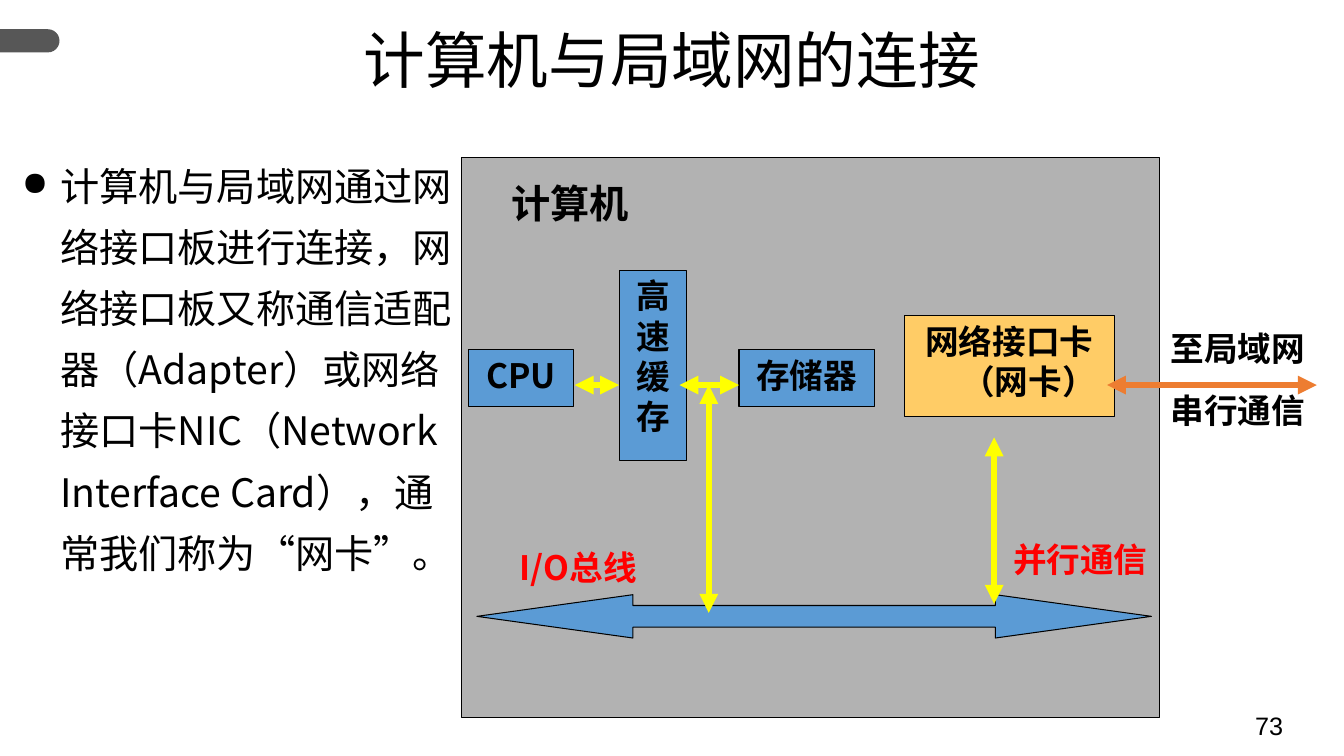
from lxml import etree
from pptx import Presentation
from pptx.dml.color import RGBColor
from pptx.enum.shapes import MSO_CONNECTOR, MSO_SHAPE
from pptx.enum.text import MSO_ANCHOR, PP_ALIGN
from pptx.oxml.ns import qn
from pptx.util import Inches, Pt

RECT = MSO_SHAPE.RECTANGLE
ARROW = MSO_SHAPE.LEFT_RIGHT_ARROW
ROUND = MSO_SHAPE.ROUND_2_SAME_RECTANGLE
LINE = MSO_CONNECTOR.STRAIGHT
TOP = MSO_ANCHOR.TOP
LEFT, CENTER = PP_ALIGN.LEFT, PP_ALIGN.CENTER
CJK = "Noto Sans CJK SC"
BLACK, BLUE, YELLOW, RED = "000000", "5B9BD5", "FFFF00", "FF0000"
HANG = 0.38


def color(code):
    """Turn a hex string into a colour."""
    return RGBColor.from_string(code)


def write(shape, text, size=24, font=CJK, ink=BLACK, bold=False,
          align=CENTER, hang=HANG, space=1.0, bullet=None):
    """Fill a shape with formatted paragraphs, one for each line."""
    frame = shape.text_frame
    frame.word_wrap = True
    frame.vertical_anchor = TOP
    for i, line in enumerate(text.split("\n")):
        para = frame.paragraphs[0] if i == 0 else frame.add_paragraph()
        props = para._p.get_or_add_pPr()
        props.set("marL", str(Inches(hang)))
        props.set("indent", str(-Inches(hang)))
        if bullet:
            etree.SubElement(props, qn("a:buSzPct")).set("val", "85000")
            etree.SubElement(props, qn("a:buChar")).set("char", bullet)
        para.alignment = align
        para.line_spacing = space
        para.space_before = Pt(0)
        run = para.add_run()
        run.text = line
        run.font.size = Pt(size)
        run.font.bold = bold
        run.font.color.rgb = color(ink)
        run.font.name = font
        east = etree.SubElement(run._r.get_or_add_rPr(), qn("a:ea"))
        east.set("typeface", CJK)


def label(slide, box, text, **style):
    """Add a text box."""
    write(slide.shapes.add_textbox(*map(Inches, box)), text, **style)


def block(slide, box, fill, kind=RECT, edge=BLACK):
    """Add a filled shape with a thin outline."""
    shape = slide.shapes.add_shape(kind, *map(Inches, box))
    shape.shadow.inherit = False
    shape.fill.solid()
    shape.fill.fore_color.rgb = color(fill)
    if edge:
        shape.line.color.rgb = color(edge)
        shape.line.width = Pt(0.75)
    else:
        shape.line.fill.background()
    return shape


def arrow(slide, start, end, ink=YELLOW):
    """Add a thick line with a head at both ends."""
    link = slide.shapes.add_connector(LINE, *map(Inches, start + end))
    link.line.color.rgb = color(ink)
    link.line.width = Pt(4.5)
    pen = link.line._get_or_add_ln()
    for tag in ("a:headEnd", "a:tailEnd"):
        etree.SubElement(pen, qn(tag)).set("type", "triangle")
    etree.SubElement(link._element.spPr, qn("a:effectLst"))


def header(slide, x, y, w, h):
    """Place the title and the tab at the left edge."""
    long, thick = 0.59, 0.23
    mid = y + 0.155
    tab = block(slide, (x + (long - thick) / 2, mid - long / 2, thick, long),
                "575757", ROUND, None)
    tab.adjustments[0] = 0.5
    tab.rotation = 90
    title = slide.shapes.title
    title.left, title.top, title.width, title.height = map(
        Inches, (x, y, w, h))
    write(title, "计算机与局域网的连接", size=44, font="Arial", hang=0, space=0.9)


def computer(slide, x, y, w, h):
    """Draw the computer with its parts, its bus and their links."""
    block(slide, (x, y, w, h), "B2B2B2")
    label(slide, (x + 0.22, y + 0.17, 1.71, 0.63), "计算机", size=28, bold=True)
    parts = [
        (0.07, 1.91, 1.04, 0.56, BLUE, "CPU"),
        (1.56, 1.12, 0.67, 1.89, BLUE, "高\n速\n缓\n存"),
        (2.75, 1.91, 1.34, 0.56, BLUE, "存储器"),
        (4.39, 1.57, 2.08, 1, "FFCC66", "网络接口卡（网卡）"),
    ]
    for dx, dy, pw, ph, fill, text in parts:
        part = block(slide, (x + dx, y + dy, pw, ph), fill)
        write(part, text, bold=True)
    bus = block(slide, (x + 0.15, y + 4.34, 6.69, 0.43), BLUE, ARROW)
    bus.adjustments[0] = 0.5
    bus.adjustments[1] = 3.6
    links = [
        (1.12, 2.26, 1.56, 2.26),
        (2.16, 2.26, 2.75, 2.26),
        (2.45, 2.26, 2.45, 4.52),
        (5.28, 2.78, 5.28, 4.43),
    ]
    for ax, ay, bx, by in links:
        arrow(slide, (x + ax, y + ay), (x + bx, y + by))
    for dx, dy, text in [(0.3, 3.82, "I/O总线"), (5.28, 3.74, "并行通信")]:
        label(slide, (x + dx, y + dy, 1.71, 0.56), text, ink=RED, bold=True)


def network(slide, x, y, w, h):
    """Draw the link to the network with a label above and below."""
    mid = y + h / 2
    arrow(slide, (x, mid), (x + w, mid), "ED7D31")
    for top, text in [(y, "至局域网"), (mid, "串行通信")]:
        label(slide, (x + 0.29, top, 2.01, 0.56), text, bold=True)


def main():
    """Build and save the slide."""
    deck = Presentation()
    deck.slide_width, deck.slide_height = Inches(13.33), Inches(7.5)
    slide = deck.slides.add_slide(deck.slide_layouts[5])
    header(slide, 0, 0.25, 13.33, 1.25)
    label(slide, (12.35, 7, 0.98, 0.5), "73", size=18, font="Arial",
          align=LEFT, hang=0)
    label(slide, (0.12, 1.42, 4.46, 5.76),
          "计算机与局域网通过网络接口板进行连接，网络接口板又称通信适配器"
          "（Adapter）或网络接口卡NIC（Network Interface Card），"
          "通常我们称为“网卡”。",
          size=28, align=LEFT, space=1.3, bullet="●")
    computer(slide, 4.58, 1.56, 6.92, 5.56)
    network(slide, 10.98, 3.2, 2.08, 1.24)
    deck.save("out.pptx")


if __name__ == "__main__":
    main()
